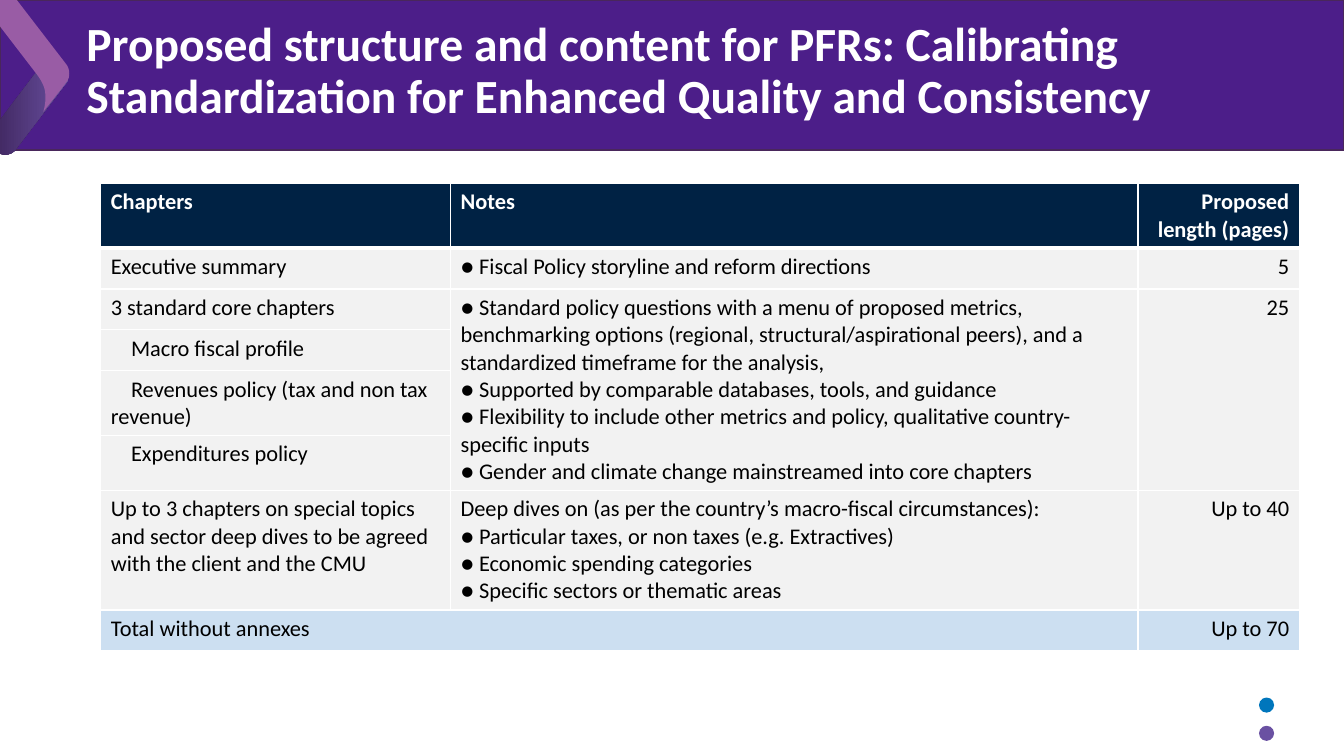
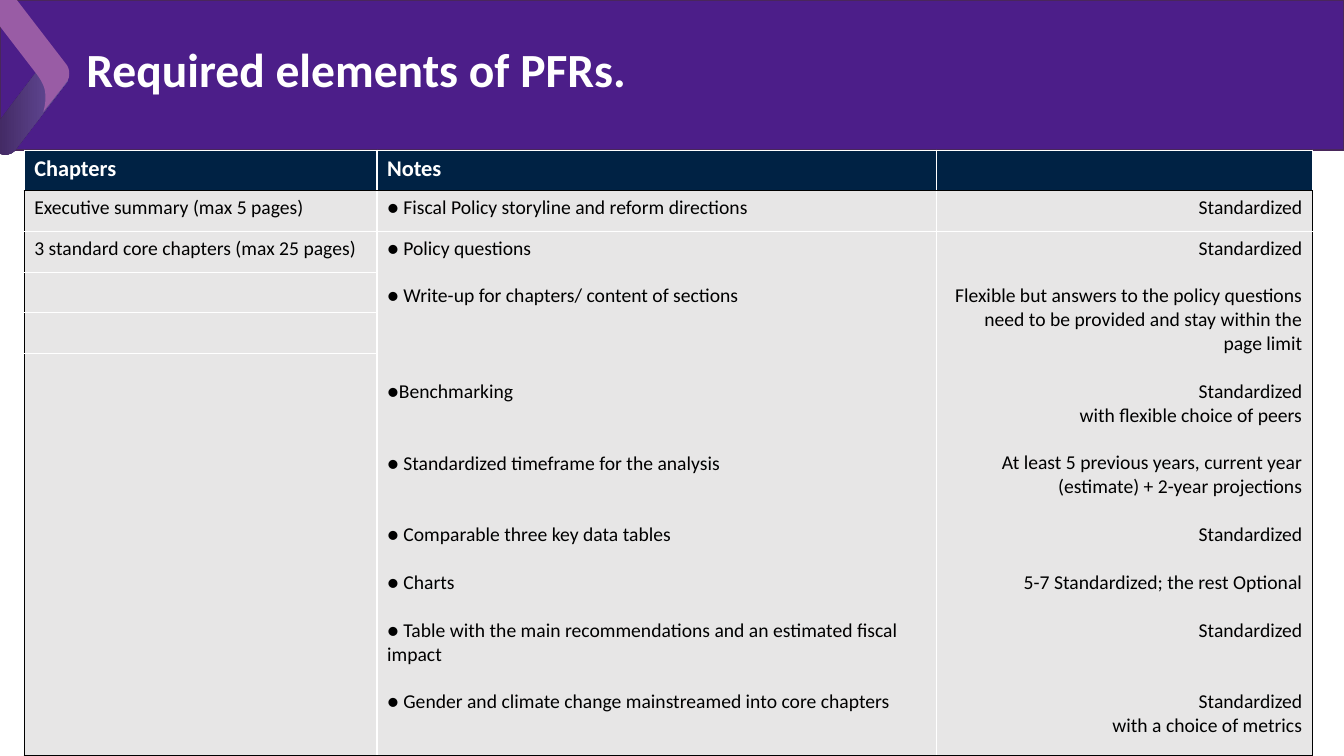
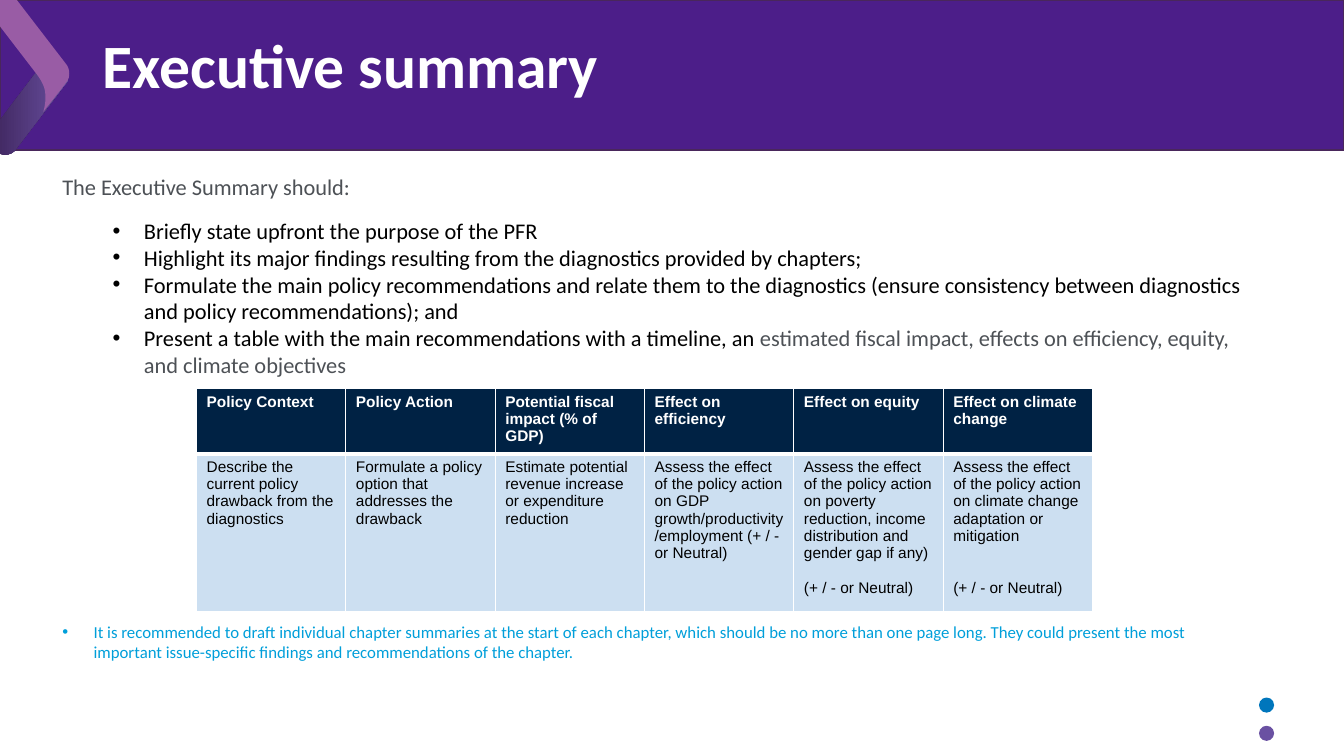
from dataclasses import dataclass
from typing import NamedTuple, Optional

from lxml.etree import SubElement
from pptx import Presentation
from pptx.dml.color import RGBColor
from pptx.enum.shapes import MSO_SHAPE
from pptx.enum.text import MSO_ANCHOR, PP_ALIGN
from pptx.oxml.ns import qn
from pptx.util import Emu, Inches, Pt

SLIDE_WIDTH = Inches(40 / 3)
SLIDE_HEIGHT = Inches(7.5)
GRID_COLUMNS = 160
CELL = SLIDE_WIDTH / GRID_COLUMNS

WHITE = RGBColor(0xFF, 0xFF, 0xFF)
BLACK = RGBColor(0x00, 0x00, 0x00)
PURPLE = RGBColor(0x4C, 0x1E, 0x89)
BAND_EDGE = RGBColor(0x49, 0x27, 0x5B)
DEEP_VIOLET = RGBColor(0x3D, 0x24, 0x5B)
VIOLET = RGBColor(0x6A, 0x51, 0xA2)
ORCHID = RGBColor(0x99, 0x5C, 0xA5)
BLUE = RGBColor(0x00, 0x76, 0xBC)
CYAN = RGBColor(0x00, 0x9F, 0xDA)
NAVY = RGBColor(0x00, 0x22, 0x44)
PALE_BLUE = RGBColor(0xCC, 0xDF, 0xF1)
PALE_GREY = RGBColor(0xF2, 0xF2, 0xF2)
WARM_GREY = RGBColor(0xE7, 0xE6, 0xE6)
SLATE = RGBColor(0x4D, 0x51, 0x56)

BAND_HEIGHT = 17.88
LINE_PITCH = {"Calibri": 1.22, "Arial": 1.15}

LOWER_ARM = [
    (1.8, 17.88), (7.92, 9.84), (8.4, 9.24, 8.28, 8.28, 7.56, 7.8),
    (7.2, 7.44), (6.6, 6.96, 5.64, 7.08, 5.04, 7.68),
    (-1.08, 15.72), (-1.56, 16.32, -1.44, 17.28, -0.72, 17.88),
    (-0.36, 18.12), (0.36, 18.6, 1.32, 18.48, 1.8, 17.88),
]
UPPER_ARM = [
    (4.32, 8.76), (-0.84, 2.04), (-1.44, 1.2, -1.32, 0.12, -0.6, -0.48),
    (0.24, -1.08, 1.32, -0.84, 1.92, -0.12),
    (7.92, 7.68), (8.28, 8.16, 8.4, 9, 8.04, 9.6),
    (7.92, 9.84, 5.16, 13.32, 5.16, 13.32),
    (5.16, 13.32, 5.52, 12.24, 5.4, 11.16),
    (5.4, 10.08, 4.32, 8.76, 4.32, 8.76),
]


class Line(NamedTuple):
    text: str
    gap: int = 0
    indent: float = 0


class Entry(NamedTuple):
    lines: tuple = ()
    rows: int = 1
    columns: int = 1


class Rule(NamedTuple):
    color: RGBColor
    width: float


@dataclass
class Grid:
    left: float
    top: float
    widths: list
    heights: list
    entries: list
    fills: list
    header_size: int
    body_size: int
    font: str = "Calibri"
    right_last: bool = True
    header_rule: Rule = Rule(WHITE, 3)
    body_frame: Rule = Rule(WHITE, 1)


def units(count: float) -> Emu:
    return Emu(round(count * CELL))


def entry(*lines, rows: int = 1, columns: int = 1) -> Entry:
    made = tuple(Line(item) if isinstance(item, str) else item for item in lines)
    return Entry(made, rows, columns)


def add_span(para, text: str, *, size: float, color: RGBColor, font: str = "Calibri",
             bold: bool = False) -> None:
    span = para.add_run()
    span.text = text
    span.font.name = font
    span.font.size = Pt(size)
    span.font.bold = bold
    span.font.color.rgb = color


def add_para(frame, text: str, *, size: float, color: RGBColor, font: str = "Calibri",
             bold: bool = False, align=PP_ALIGN.LEFT, before: float = 0,
             spacing: float = 1, margin: float = 0, indent: float = 0,
             bullet: Optional[str] = None):
    para = frame.paragraphs[0]
    if para.runs:
        para = frame.add_paragraph()
    para.alignment = align
    para.line_spacing = spacing
    para.space_before = Pt(before)
    properties = para._p.get_or_add_pPr()
    properties.set("marL", str(units(margin)))
    properties.set("indent", str(units(indent)))
    if bullet:
        SubElement(properties, qn("a:buFont")).set("typeface", "Arial")
        SubElement(properties, qn("a:buChar")).set("char", bullet)
    add_span(para, text, size=size, color=color, font=font, bold=bold)
    return para


def add_box(page, left: float, top: float, width: float, height: float,
            anchor=MSO_ANCHOR.TOP):
    box = page.shapes.add_textbox(units(left), units(top), units(width), units(height))
    box.text_frame.word_wrap = True
    box.text_frame.vertical_anchor = anchor
    return box.text_frame


def add_plain(page, kind, left: float, top: float, width: float, height: float,
              fill: RGBColor):
    shape = page.shapes.add_shape(kind, units(left), units(top), units(width), units(height))
    shape.shadow.inherit = False
    shape.fill.solid()
    shape.fill.fore_color.rgb = fill
    shape.line.fill.background()
    return shape


def outline_points(segments: list, steps: int = 10) -> list:
    points = [segments[0]]
    for segment in segments[1:]:
        if len(segment) == 2:
            points.append(segment)
            continue
        anchors = [points[-1], segment[:2], segment[2:4], segment[4:]]
        for step in range(1, steps + 1):
            t = step / steps
            weights = ((1 - t) ** 3, 3 * t * (1 - t) ** 2, 3 * t * t * (1 - t), t ** 3)
            points.append(tuple(
                sum(weight * anchor[axis] for weight, anchor in zip(weights, anchors))
                for axis in (0, 1)))
    return points


def add_outline(page, segments: list):
    points = [(units(x), units(y)) for x, y in outline_points(segments)]
    builder = page.shapes.build_freeform(*points[0])
    builder.add_line_segments(points[1:], close=True)
    shape = builder.convert_to_shape()
    shape.shadow.inherit = False
    shape.line.fill.background()
    return shape


def add_page(deck, title: str, *, left: float = 9.12, top: float = 1.08,
             width: float = 147.12, size: int = 34, dots: bool = True):
    page = deck.slides.add_slide(deck.slide_layouts[6])
    band = add_plain(page, MSO_SHAPE.RECTANGLE, 0, 0, GRID_COLUMNS, BAND_HEIGHT, PURPLE)
    band.line.color.rgb = BAND_EDGE
    band.line.width = Pt(1)
    lower = add_outline(page, LOWER_ARM)
    lower.fill.gradient()
    lower.fill.gradient_angle = 0
    for stop, color in zip(lower.fill.gradient_stops, (DEEP_VIOLET, VIOLET)):
        stop.color.rgb = color
    upper = add_outline(page, UPPER_ARM)
    upper.fill.solid()
    upper.fill.fore_color.rgb = ORCHID
    if dots:
        for dot_top, color in ((83.04, BLUE), (86.4, VIOLET)):
            add_plain(page, MSO_SHAPE.OVAL, 149.88, dot_top, 1.8, 1.8, color)
    frame = add_box(page, left, top, width, 15, MSO_ANCHOR.MIDDLE)
    add_para(frame, title, size=size, color=WHITE, bold=True, spacing=0.9)
    return page


def add_border(cell, side: str, rule: Rule) -> None:
    line = SubElement(cell._tc.get_or_add_tcPr(), qn(f"a:ln{side}"))
    line.set("w", str(Pt(rule.width)))
    fill = SubElement(line, qn("a:solidFill"))
    SubElement(fill, qn("a:srgbClr")).set("val", str(rule.color))


def cell_borders(grid: Grid, row: int, column: int, item: Entry) -> dict:
    inner = Rule(WHITE, 1)
    body = row > 0
    last_row = row + item.rows == len(grid.heights)
    last_column = column + item.columns == len(grid.widths)
    bottom = grid.body_frame if last_row else inner
    top = grid.header_rule if row == 1 else inner
    return {
        "L": grid.body_frame if body and column == 0 else inner,
        "R": grid.body_frame if body and last_column else inner,
        "T": top,
        "B": bottom if body else grid.header_rule,
    }


def add_grid(page, grid: Grid) -> None:
    frame = page.shapes.add_table(
        len(grid.heights), len(grid.widths), units(grid.left), units(grid.top),
        units(sum(grid.widths)), units(sum(grid.heights)))
    table = frame.table
    table.first_row = False
    table.horz_banding = False
    for column, width in zip(table.columns, grid.widths):
        column.width = units(width)
    for row, height in zip(table.rows, grid.heights):
        row.height = units(height)
    for row, items in enumerate(grid.entries):
        header = row == 0
        size = grid.header_size if header else grid.body_size
        for column, item in enumerate(items):
            cell = table.cell(row, column)
            for side, rule in cell_borders(grid, row, column, item or Entry()).items():
                add_border(cell, side, rule)
            cell.fill.solid()
            cell.fill.fore_color.rgb = grid.fills[row]
            if item is None:
                continue
            if item.rows * item.columns > 1:
                cell.merge(table.cell(row + item.rows - 1, column + item.columns - 1))
            at_right = grid.right_last and column == len(grid.widths) - 1
            for line in item.lines:
                add_para(cell.text_frame, line.text, size=size, font=grid.font,
                         color=WHITE if header else BLACK, bold=header,
                         align=PP_ALIGN.RIGHT if at_right else PP_ALIGN.LEFT,
                         before=line.gap * size * LINE_PITCH[grid.font],
                         indent=line.indent)


def build_structure(deck) -> None:
    page = add_page(deck, "Proposed structure and content for PFRs: Calibrating "
                          "Standardization for Enhanced Quality and Consistency")
    single, double = 4.87, 7.7
    add_grid(page, Grid(
        left=12, top=21.84, widths=[41.64, 81.84, 19.2],
        heights=[double, single, single, single, double, 6.55, 14.25, single],
        fills=[NAVY] + [PALE_GREY] * 6 + [PALE_BLUE],
        header_size=16, body_size=16,
        entries=[
            [entry("Chapters"), entry("Notes"), entry("Proposed length (pages)")],
            [entry("Executive summary"),
             entry("● Fiscal Policy storyline and reform directions"), entry("5")],
            [entry("3 standard core chapters"),
             entry("● Standard policy questions with a menu of proposed metrics, benchmarking "
                   "options (regional, structural/aspirational peers), and a standardized "
                   "timeframe for the analysis,",
                   "● Supported by comparable databases, tools, and guidance",
                   "● Flexibility to include other metrics and policy, qualitative "
                   "country-specific inputs",
                   "● Gender and climate change mainstreamed into core chapters", rows=4),
             entry("25", rows=4)],
            [entry(Line("Macro fiscal profile", indent=2.4)), None, None],
            [entry(Line("Revenues policy (tax and non tax revenue)", indent=2.4)), None, None],
            [entry(Line("Expenditures policy", indent=2.4)), None, None],
            [entry("Up to 3 chapters on special topics and sector deep dives to be agreed "
                   "with the client and the CMU"),
             entry("Deep dives on (as per the country’s macro-fiscal circumstances):",
                   "● Particular taxes, or non taxes (e.g. Extractives)",
                   "● Economic spending categories",
                   "● Specific sectors or thematic areas"),
             entry("Up to 40")],
            [entry("Total without annexes", columns=2), None, entry("Up to 70")],
        ]))


def build_required(deck) -> None:
    page = add_page(deck, "Required elements of PFRs.", dots=False)
    add_grid(page, Grid(
        left=2.88, top=BAND_HEIGHT, widths=[42, 66.6, 44.76],
        heights=[4.84] * 5 + [47.9], fills=[NAVY] + [WARM_GREY] * 5,
        header_size=16, body_size=14,
        header_rule=Rule(BLACK, 1), body_frame=Rule(BLACK, 1),
        entries=[
            [entry("Chapters"), entry("Notes"), entry()],
            [entry("Executive summary (max 5 pages)"),
             entry("● Fiscal Policy storyline and reform directions"),
             entry("Standardized")],
            [entry("3 standard core chapters (max 25 pages)"),
             entry("● Policy questions",
                   Line("● Write-up for chapters/ content of sections", 1),
                   Line("●Benchmarking", 3),
                   Line("● Standardized timeframe for the analysis", 2),
                   Line("● Comparable three key data tables", 2),
                   Line("● Charts", 1),
                   Line("● Table with the main recommendations and an estimated fiscal "
                        "impact", 1),
                   Line("● Gender and climate change mainstreamed into core chapters", 1),
                   rows=4),
             entry("Standardized",
                   Line("Flexible but answers to the policy questions need to be provided "
                        "and stay within the page limit", 1),
                   Line("Standardized", 1),
                   "with flexible choice of peers",
                   Line("At least 5 previous years, current year (estimate) + "
                        "2-year projections", 1),
                   Line("Standardized", 1),
                   Line("5-7 Standardized; the rest Optional", 1),
                   Line("Standardized", 1),
                   Line("Standardized", 2),
                   "with a choice of metrics",
                   rows=4)],
        ] + [[entry(), None, None] for _ in range(3)]))


def build_summary(deck) -> None:
    page = add_page(deck, "Executive summary", left=11.04, top=0.6, width=138, size=44)
    body = add_box(page, 6.24, 20.04, 144.24, 26)
    add_para(body, "The Executive Summary should:", size=16, color=SLATE)
    points = [
        "Briefly state upfront the purpose of the PFR",
        "Highlight its major findings resulting from the diagnostics provided by chapters;",
        "Formulate the main policy recommendations and relate them to the diagnostics "
        "(ensure consistency between diagnostics and policy recommendations); and",
        "Present a table with the main recommendations with a timeline, an ",
    ]
    for index, point in enumerate(points):
        para = add_para(body, point, size=16, color=BLACK, before=0 if index else 12,
                        margin=9.72, indent=-3.72, bullet="•")
    add_span(para, "estimated fiscal impact, effects on efficiency, equity, "
                   "and climate objectives", size=16, color=SLATE)
    add_grid(page, Grid(
        left=23.4, top=46.2, widths=[17.78] * 6, heights=[7.8, 18.8],
        fills=[NAVY, PALE_BLUE], header_size=11, body_size=11, font="Arial",
        right_last=False,
        entries=[
            [entry(heading) for heading in (
                "Policy Context", "Policy Action", "Potential fiscal impact (% of GDP)",
                "Effect on efficiency", "Effect on equity", "Effect on climate change")],
            [entry("Describe the current policy drawback from the diagnostics"),
             entry("Formulate a policy option that addresses the drawback"),
             entry("Estimate potential revenue increase or expenditure reduction"),
             entry("Assess the effect of the policy action on GDP "
                   "growth/productivity/employment (+ / - or Neutral)"),
             entry("Assess the effect of the policy action on poverty reduction, income "
                   "distribution and gender gap if any)", Line("(+ / - or Neutral)", 1)),
             entry("Assess the effect of the policy action on climate change adaptation "
                   "or mitigation", Line("(+ / - or Neutral)", 2))],
        ]))
    note = add_box(page, 6.24, 73.44, 144.24, 6)
    add_para(note, "It is recommended to draft individual chapter summaries at the start of "
                   "each chapter, which should be no more than one page long. They could "
                   "present the most important issue-specific findings and recommendations "
                   "of the chapter.",
             size=12, color=CYAN, margin=3.72, indent=-3.72, bullet="•")


def main() -> None:
    deck = Presentation()
    deck.slide_width = SLIDE_WIDTH
    deck.slide_height = SLIDE_HEIGHT
    for build in (build_structure, build_required, build_summary):
        build(deck)
    deck.save("out.pptx")


if __name__ == "__main__":
    main()
